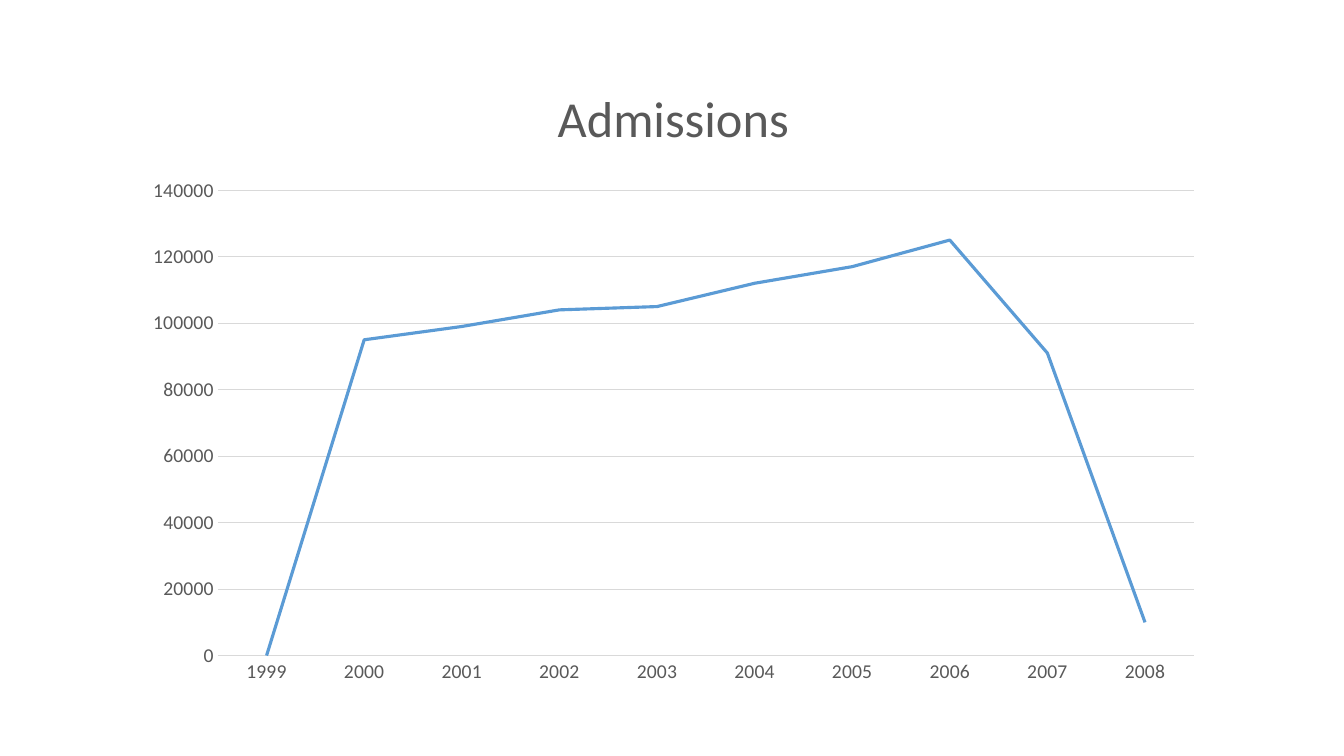
from lxml import etree
from pptx import Presentation
from pptx.chart.data import CategoryChartData
from pptx.dml.color import RGBColor
from pptx.enum.chart import XL_CHART_TYPE, XL_MARKER_STYLE, XL_TICK_MARK
from pptx.oxml.ns import qn
from pptx.util import Pt

LINE_STACKED = XL_CHART_TYPE.LINE_STACKED
NO_MARKER = XL_MARKER_STYLE.NONE
NO_TICK = XL_TICK_MARK.NONE

BLUE = RGBColor(0x5B, 0x9B, 0xD5)
TEXT_GREY = RGBColor(0x59, 0x59, 0x59)
GRID_GREY = RGBColor(0xD9, 0xD9, 0xD9)
FONT = "Calibri"


def style_font(font, size):
    font.name = FONT
    font.size = Pt(size)
    font.bold = False
    font.color.rgb = TEXT_GREY


def style_line(line, color, width):
    line.color.rgb = color
    line.width = Pt(width)


presentation = Presentation()
presentation.slide_width = Pt(960)
presentation.slide_height = Pt(540)
slide = presentation.slides.add_slide(presentation.slide_layouts[6])

# Admissions per year
chart_data = CategoryChartData()
chart_data.categories = [str(year) for year in range(1999, 2009)]
chart_data.add_series("Series 1", (0, 95000, 99000, 104000, 105000,
                                   112000, 117000, 125000, 91000, 10000))
chart = slide.shapes.add_chart(LINE_STACKED, Pt(93.6), Pt(39.6),
                               Pt(774.7), Pt(458.6), chart_data).chart
chart.has_legend = False
chart.font.name = FONT
chart.font.size = Pt(10)

# Title
chart.has_title = True
chart.chart_title.include_in_layout = False
title_run = chart.chart_title.text_frame.paragraphs[0].add_run()
title_run.text = "Admissions"
style_font(title_run.font, 36)

# Axes
category_axis, value_axis = chart.category_axis, chart.value_axis
for axis in (category_axis, value_axis):
    axis.major_tick_mark = NO_TICK
    axis.minor_tick_mark = NO_TICK
    style_font(axis.tick_labels.font, 14)
style_line(category_axis.format.line, GRID_GREY, 0.75)
value_axis.format.line.fill.background()
value_axis.has_major_gridlines = True
style_line(value_axis.major_gridlines.format.line, GRID_GREY, 0.75)
value_axis.minimum_scale = 0
value_axis.maximum_scale = 140000
value_axis.major_unit = 20000
value_axis.tick_labels.number_format = "General"
value_axis.tick_labels.number_format_is_linked = False

# Line
plot = chart.plots[0]
plot.vary_by_categories = False
series = plot.series[0]
series.smooth = False
series.marker.style = NO_MARKER
style_line(series.format.line, BLUE, 2.25)

# Plot area, as fractions of the chart
plot_area = chart.element.find(".//" + qn("c:plotArea"))
layout = plot_area.find(qn("c:layout"))
if layout is None:
    layout = etree.Element(qn("c:layout"))
    plot_area.insert(0, layout)
manual_layout = etree.SubElement(layout, qn("c:manualLayout"))
for tag, value in (("layoutTarget", "inner"), ("xMode", "edge"), ("yMode", "edge"),
                   ("x", "0.08"), ("y", "0.21"), ("w", "0.9"), ("h", "0.725")):
    etree.SubElement(manual_layout, qn("c:" + tag)).set("val", value)

presentation.save("out.pptx")
